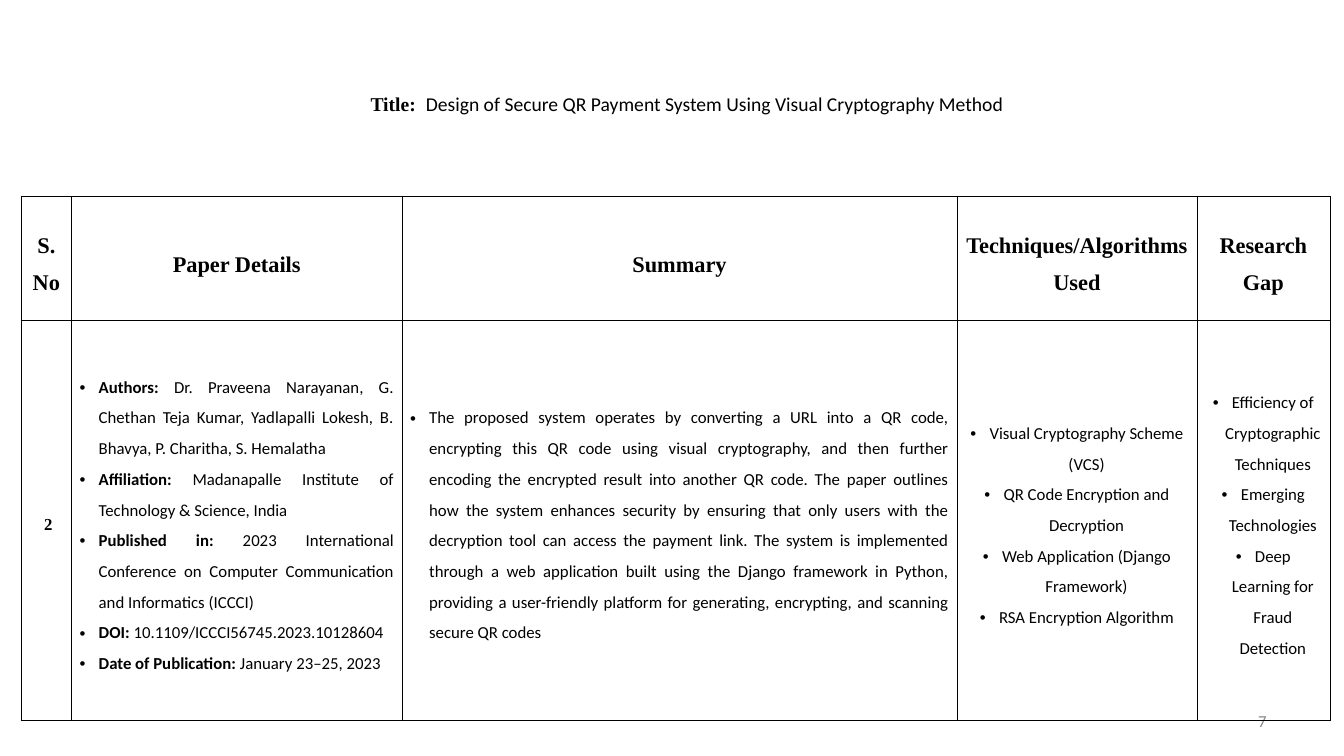
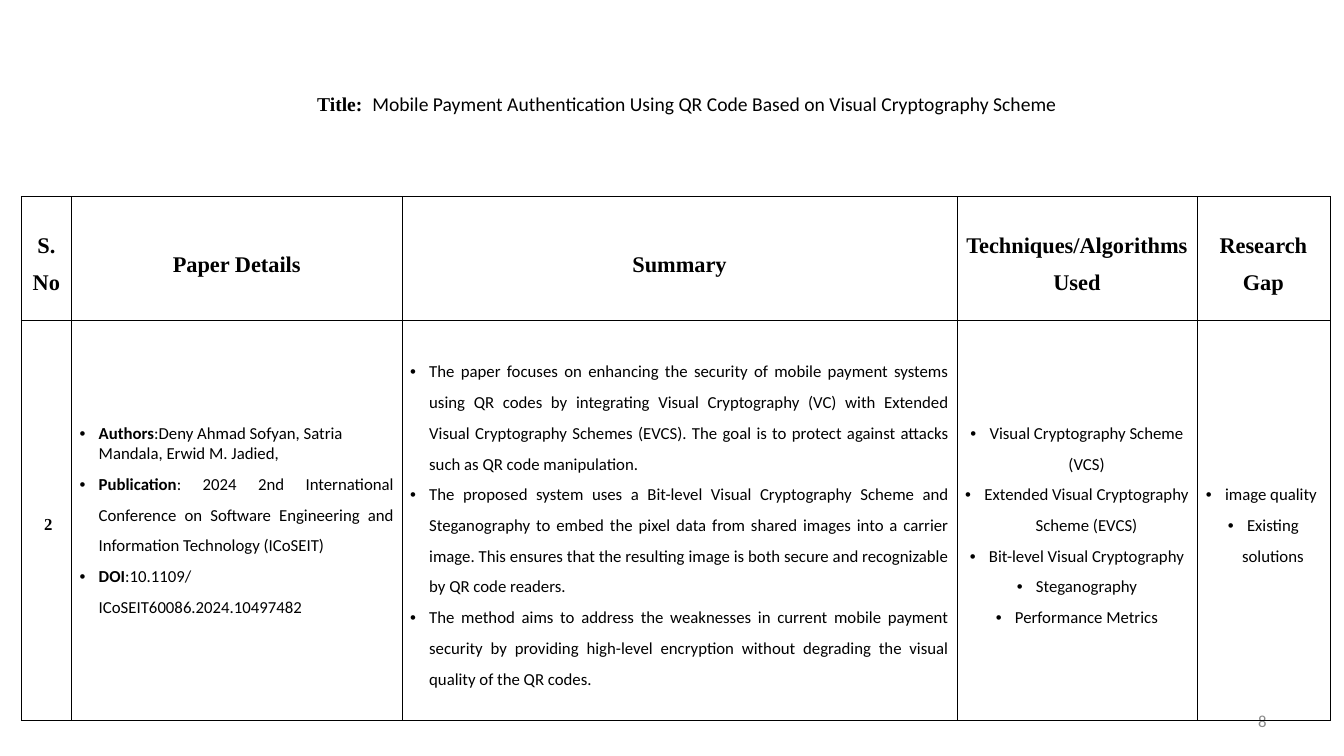
from dataclasses import dataclass

from lxml import etree
from pptx import Presentation
from pptx.dml.color import RGBColor
from pptx.enum.text import MSO_ANCHOR, PP_ALIGN
from pptx.oxml.ns import qn
from pptx.util import Inches, Pt

MIDDLE = MSO_ANCHOR.MIDDLE
LEFT, CENTER, RIGHT = PP_ALIGN.LEFT, PP_ALIGN.CENTER, PP_ALIGN.RIGHT
JUSTIFY = PP_ALIGN.JUSTIFY


@dataclass(frozen=True)
class Theme:
    ink: str = "000000"
    muted: str = "898989"
    serif: str = "Times New Roman"
    sans: str = "Calibri"
    title: int = 14
    header: int = 16
    body: int = 12
    spacing: float = 1.5
    border: float = 0.45
    indent: float = 0.19


THEME = Theme()

# Content
HEADERS = ["S. No", "Paper Details", "Summary", "Techniques/Algorithms Used", "Research Gap"]

PAPERS = [
    {
        "page": "7",
        "number": " 2",
        "title": "Design of Secure QR Payment System Using Visual Cryptography Method",
        "details": [
            ("Authors:", " Dr. Praveena Narayanan, G. Chethan Teja Kumar, Yadlapalli Lokesh, "
                         "B. Bhavya, P. Charitha, S. Hemalatha"),
            ("Affiliation:", " Madanapalle Institute of Technology & Science, India"),
            ("Published in:", " 2023 International Conference on Computer Communication "
                              "and Informatics (ICCCI)"),
            ("DOI:", " 10.1109/ICCCI56745.2023.10128604"),
            ("Date of Publication:", " January 23–25, 2023"),
        ],
        "loose_details": [],
        "summary": [
            "The proposed system operates by converting a URL into a QR code, encrypting this "
            "QR code using visual cryptography, and then further encoding the encrypted result "
            "into another QR code. The paper outlines how the system enhances security by "
            "ensuring that only users with the decryption tool can access the payment link. "
            "The system is implemented through a web application built using the Django "
            "framework in Python, providing a user-friendly platform for generating, "
            "encrypting, and scanning secure QR codes",
        ],
        "techniques": [
            "Visual Cryptography Scheme (VCS)",
            "QR Code Encryption and Decryption",
            "Web Application (Django Framework)",
            "RSA Encryption Algorithm",
        ],
        "gaps": [
            "Efficiency of Cryptographic Techniques",
            "Emerging Technologies",
            "Deep Learning for Fraud Detection",
        ],
    },
    {
        "page": "8",
        "number": " 2",
        "title": "Mobile Payment Authentication Using QR Code Based on Visual Cryptography Scheme",
        "details": [
            ("Authors", ":Deny Ahmad Sofyan, Satria Mandala, Erwid M. Jadied,"),
            ("Publication", ": 2024 2nd International Conference on Software Engineering "
                            "and Information Technology (ICoSEIT)"),
            ("DOI", ":10.1109/ICoSEIT60086.2024.10497482"),
        ],
        "loose_details": [0],  # left-aligned, single-spaced entries
        "summary": [
            "The paper focuses on enhancing the security of mobile payment systems using QR "
            "codes by integrating Visual Cryptography (VC) with Extended Visual Cryptography "
            "Schemes (EVCS). The goal is to protect against attacks such as QR code "
            "manipulation. ",
            "The proposed system uses a Bit-level Visual Cryptography Scheme and Steganography "
            "to embed the pixel data from shared images into a carrier image. This ensures "
            "that the resulting image is both secure and recognizable by QR code readers. ",
            "The method aims to address the weaknesses in current mobile payment security by "
            "providing high-level encryption without degrading the visual quality of the QR "
            "codes.",
        ],
        "techniques": [
            "Visual Cryptography Scheme (VCS)",
            "Extended Visual Cryptography Scheme (EVCS)",
            "Bit-level Visual Cryptography",
            "Steganography",
            "Performance Metrics",
        ],
        "gaps": ["image quality ", "Existing solutions"],
    },
]

# Layout in inches
SLIDE_SIZE = (13.34, 7.5)
TITLE_BOX = (0.21, 0.86, 13.22, 0.34)
PAGE_BOX = (9.56, 6.95, 3.11, 0.4)
TABLE_AT = (0.21, 1.95)
COLUMNS = [0.5, 3.28, 5.51, 2.38, 1.32]
ROWS = [1.23, 3.97]
CELL_MARGINS = (0.08, 0.05)


# Text helpers
def add_run(p, text, size, font=THEME.sans, bold=False, color=THEME.ink):
    r = p.add_run()
    r.text = text
    r.font.size, r.font.name, r.font.bold = Pt(size), font, bold
    r.font.color.rgb = RGBColor.from_string(color)


def add_bullet(p):
    pPr = p._p.get_or_add_pPr()
    pPr.set("marL", str(Inches(THEME.indent)))
    pPr.set("indent", str(-Inches(THEME.indent)))
    color = etree.SubElement(pPr, qn("a:buClr"))
    etree.SubElement(color, qn("a:srgbClr"), val=THEME.ink)
    etree.SubElement(pPr, qn("a:buFont"), typeface="Arial")
    etree.SubElement(pPr, qn("a:buChar"), char="•")


def add_text_line(slide, box, align, wrap):
    sp = slide.shapes.add_textbox(*map(Inches, box))
    tf = sp.text_frame
    tf.word_wrap, tf.vertical_anchor = wrap, MIDDLE
    p = tf.paragraphs[0]
    p.alignment = align
    return p


# Table helpers
def style_cell(cell):
    cell.vertical_anchor = MIDDLE
    side, edge = map(Inches, CELL_MARGINS)
    cell.margin_left = cell.margin_right = side
    cell.margin_top = cell.margin_bottom = edge
    cell.fill.background()
    tcPr = cell._tc.get_or_add_tcPr()
    for i, tag in enumerate(("a:lnL", "a:lnR", "a:lnT", "a:lnB")):
        line = etree.Element(qn(tag), w=str(Pt(THEME.border)))
        fill = etree.SubElement(line, qn("a:solidFill"))
        etree.SubElement(fill, qn("a:srgbClr"), val=THEME.ink)
        tcPr.insert(i, line)


def fill_label(cell, text, size):
    p = cell.text_frame.paragraphs[0]
    p.alignment, p.line_spacing = CENTER, THEME.spacing
    add_run(p, text, size, THEME.serif, True)


def fill_bullets(cell, items, align, loose=()):
    tf = cell.text_frame
    for i, item in enumerate(items):
        p = tf.add_paragraph() if i else tf.paragraphs[0]
        p.alignment = LEFT if i in loose else align
        p.line_spacing = 1.0 if i in loose else THEME.spacing
        add_bullet(p)
        label, text = item if isinstance(item, tuple) else ("", item)
        if label:
            add_run(p, label, THEME.body, bold=True)
        add_run(p, text, THEME.body)


def add_paper_table(slide, paper):
    size = (sum(COLUMNS), sum(ROWS))
    table = slide.shapes.add_table(len(ROWS), len(COLUMNS),
                                   *map(Inches, TABLE_AT + size)).table
    table.first_row = table.horz_banding = False
    for column, width in zip(table.columns, COLUMNS):
        column.width = Inches(width)
    for row, height in zip(table.rows, ROWS):
        row.height = Inches(height)
    for cell in table.iter_cells():
        style_cell(cell)

    for i, header in enumerate(HEADERS):
        fill_label(table.cell(0, i), header, THEME.header)
    number, details, summary, techniques, gaps = table.rows[1].cells
    fill_label(number, paper["number"], THEME.body)
    fill_bullets(details, paper["details"], JUSTIFY, paper["loose_details"])
    fill_bullets(summary, paper["summary"], JUSTIFY)
    fill_bullets(techniques, paper["techniques"], CENTER)
    fill_bullets(gaps, paper["gaps"], CENTER)


def add_paper_slide(prs, paper):
    slide = prs.slides.add_slide(prs.slide_layouts[6])
    page = add_text_line(slide, PAGE_BOX, RIGHT, True)
    add_run(page, paper["page"], THEME.body, color=THEME.muted)
    add_paper_table(slide, paper)
    title = add_text_line(slide, TITLE_BOX, CENTER, False)
    add_run(title, "Title:  ", THEME.title, THEME.serif, True)
    add_run(title, paper["title"], THEME.title)


def main():
    prs = Presentation()
    prs.slide_width, prs.slide_height = map(Inches, SLIDE_SIZE)
    for paper in PAPERS:
        add_paper_slide(prs, paper)
    prs.save("out.pptx")


if __name__ == "__main__":
    main()
